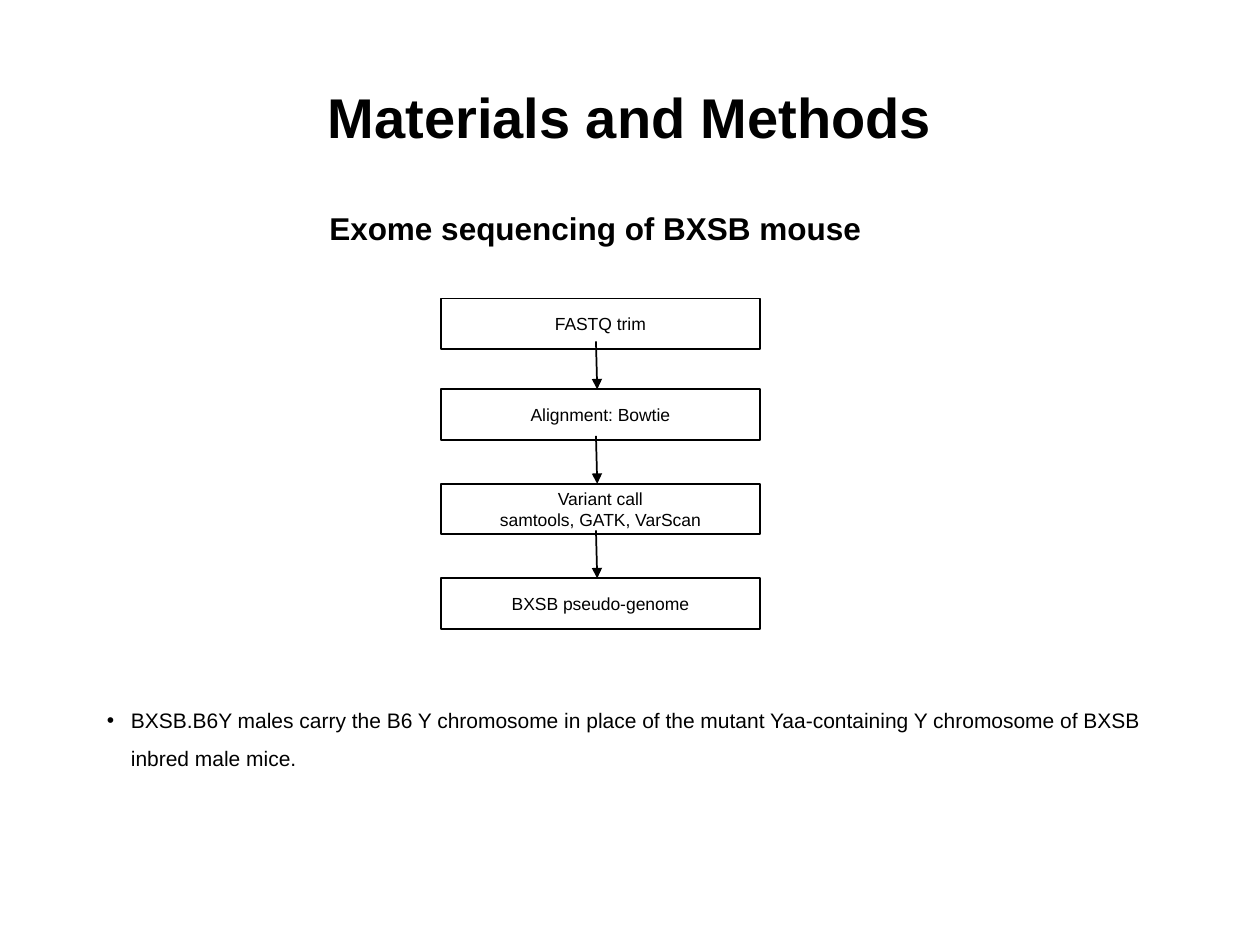
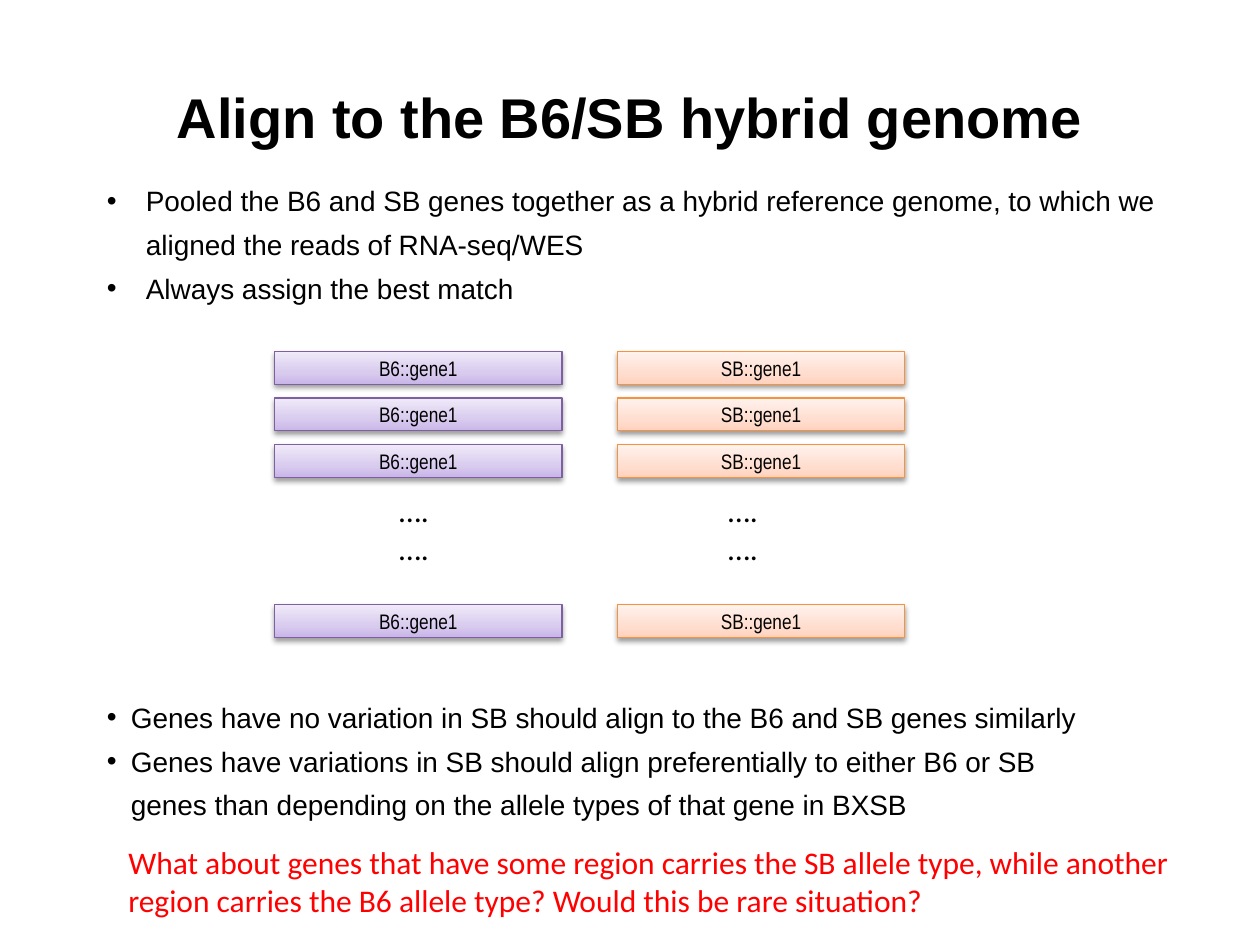
from lxml.etree import SubElement
from pptx import Presentation
from pptx.dml.color import RGBColor
from pptx.enum.shapes import MSO_CONNECTOR, MSO_SHAPE
from pptx.enum.text import MSO_ANCHOR, MSO_AUTO_SIZE, PP_ALIGN
from pptx.oxml.ns import qn
from pptx.util import Inches, Pt

BLACK = RGBColor(0x00, 0x00, 0x00)
WHITE = RGBColor(0xFF, 0xFF, 0xFF)
RED = RGBColor(0xFF, 0x00, 0x00)
PURPLE_LINE = RGBColor(0x7D, 0x60, 0xA0)
ORANGE_LINE = RGBColor(0xF6, 0x92, 0x40)
PURPLE_STOPS = [
    (0, RGBColor(0xC9, 0xB5, 0xE8)),
    (35, RGBColor(0xD8, 0xCB, 0xEE)),
    (100, RGBColor(0xF0, 0xEA, 0xF9)),
]
ORANGE_STOPS = [
    (0, RGBColor(0xFF, 0xD2, 0xBD)),
    (35, RGBColor(0xFF, 0xDE, 0xD0)),
    (100, RGBColor(0xFF, 0xF2, 0xED)),
]

FLOW_LEFT, FLOW_WIDTH, FLOW_HEIGHT = 3.5, 2.53, 0.4
FLOW_STEPS = [
    (2.37, "FASTQ trim"),
    (3.09, "Alignment: Bowtie"),
    (3.84, "Variant call\nsamtools, GATK, VarScan"),
    (4.59, "BXSB pseudo-genome"),
]
ARROW_LENGTH = 0.38

GENE_WIDTH, GENE_HEIGHT = 2.28, 0.26
GENE_TOPS = [2.79 + 0.37 * row for row in range(3)] + [4.8]
GENE_COLUMNS = [
    (2.18, 3.07, "B6::gene1", PURPLE_STOPS, PURPLE_LINE),
    (4.9, 5.68, "SB::gene1", ORANGE_STOPS, ORANGE_LINE),
]


def write_text(frame, text, size, font="Arial", color=BLACK, bold=False,
               align=PP_ALIGN.LEFT, spacing=None):
    frame.text = text
    for para in frame.paragraphs:
        para.alignment = align
        if spacing:
            para.line_spacing = spacing
        for span in para.runs:
            span.font.size = Pt(size)
            span.font.name = font
            span.font.bold = bold
            span.font.color.rgb = color


def add_text(page, left, top, width, height, text, size, wrap=True, **style):
    box = page.shapes.add_textbox(
        Inches(left), Inches(top), Inches(width), Inches(height))
    frame = box.text_frame
    frame.word_wrap = wrap
    frame.auto_size = MSO_AUTO_SIZE.SHAPE_TO_FIT_TEXT
    write_text(frame, text, size, **style)
    return box


def add_title(page, text):
    box = add_text(page, 0.5, 0.3, 9, 1.25, text, 32,
                   bold=True, align=PP_ALIGN.CENTER)
    box.text_frame.auto_size = MSO_AUTO_SIZE.NONE
    box.text_frame.vertical_anchor = MSO_ANCHOR.MIDDLE


def add_bullets(page, left, top, width, height, text, size, spacing, indent=0.19):
    box = add_text(page, left, top, width, height, text, size, spacing=spacing)
    for para in box.text_frame.paragraphs:
        properties = para._p.get_or_add_pPr()
        properties.set("marL", str(Inches(indent)))
        properties.set("indent", str(-Inches(indent)))
        SubElement(properties, qn("a:buFont"), typeface="Arial")
        SubElement(properties, qn("a:buChar"), char="•")


def add_label_box(page, left, top, width, height, text, size, font,
                  line_color, line_width):
    box = page.shapes.add_shape(
        MSO_SHAPE.RECTANGLE,
        Inches(left), Inches(top), Inches(width), Inches(height))
    box.shadow.inherit = False
    box.line.color.rgb = line_color
    box.line.width = Pt(line_width)
    box.text_frame.word_wrap = True
    box.text_frame.vertical_anchor = MSO_ANCHOR.MIDDLE
    write_text(box.text_frame, text, size, font=font, align=PP_ALIGN.CENTER)
    return box


def add_flow_step(page, top, text):
    box = add_label_box(page, FLOW_LEFT, top, FLOW_WIDTH, FLOW_HEIGHT,
                        text, 10, "Arial", BLACK, 1)
    box.fill.solid()
    box.fill.fore_color.rgb = WHITE


def add_arrow_down(page, bottom):
    arrow = page.shapes.add_connector(
        MSO_CONNECTOR.STRAIGHT, Inches(4.73), Inches(bottom - ARROW_LENGTH),
        Inches(4.74), Inches(bottom))
    arrow.line.color.rgb = BLACK
    arrow.line.width = Pt(1)
    SubElement(arrow.line._get_or_add_ln(), qn("a:tailEnd"), type="triangle")
    SubElement(arrow._element.spPr, qn("a:effectLst"))


def set_gradient(shape, stops):
    properties = shape._element.spPr
    gradient = SubElement(properties, qn("a:gradFill"), rotWithShape="1")
    stop_list = SubElement(gradient, qn("a:gsLst"))
    for position, color in stops:
        stop = SubElement(stop_list, qn("a:gs"), pos=str(position * 1000))
        SubElement(stop, qn("a:srgbClr"), val=str(color))
    SubElement(gradient, qn("a:lin"), ang=str(270 * 60000), scaled="1")
    properties.find(qn("a:prstGeom")).addnext(gradient)


def set_soft_shadow(shape):
    effects = shape._element.spPr.find(qn("a:effectLst"))
    shadow = SubElement(
        effects, qn("a:outerShdw"), blurRad=str(Pt(3.1)), dist=str(Pt(1.6)),
        dir=str(90 * 60000), rotWithShape="0")
    color = SubElement(shadow, qn("a:srgbClr"), val=str(BLACK))
    SubElement(color, qn("a:alpha"), val="38000")


def add_gene(page, left, top, text, stops, line_color):
    box = add_label_box(page, left, top, GENE_WIDTH, GENE_HEIGHT,
                        text, 12, "Arial Narrow", line_color, 0.75)
    set_gradient(box, stops)
    set_soft_shadow(box)


def build_methods(page):
    add_title(page, "Materials and Methods")
    add_text(page, 2.49, 1.46, 4.47, 0.5, "Exome sequencing of BXSB mouse", 18,
             wrap=False, bold=True, align=PP_ALIGN.CENTER, spacing=1.5)
    for top, text in FLOW_STEPS:
        add_flow_step(page, top, text)
    for top, _ in FLOW_STEPS[1:]:
        add_arrow_down(page, top)
    add_bullets(page, 0.75, 5.47, 8.59, 0.67,
                "BXSB.B6Y males carry the B6 Y chromosome in place of the mutant "
                "Yaa-containing Y chromosome of BXSB inbred male mice.", 12, 1.5)


def build_alignment(page):
    add_title(page, "Align to the B6/SB hybrid genome")
    add_bullets(page, 0.75, 1.33, 8.87, 1.14,
                "Pooled the B6 and SB genes together as a hybrid reference genome, "
                "to which we aligned the reads of RNA-seq/WES\n"
                "Always assign the best match", 16, 1.3, indent=0.31)
    for left, dots_left, text, stops, line_color in GENE_COLUMNS:
        for top in GENE_TOPS:
            add_gene(page, left, top, text, stops, line_color)
        add_text(page, dots_left, 3.85, 0.48, 0.71, "….\n….", 18, font="Calibri")
    add_bullets(page, 0.75, 5.43, 8.21, 1.14,
                "Genes have no variation in SB should align to the B6 and SB genes "
                "similarly\n"
                "Genes have variations in SB should align preferentially to either "
                "B6 or SB genes than depending on the allele types of that gene in "
                "BXSB", 16, 1.3)
    add_text(page, 0.92, 6.64, 8.54, 0.71,
             "What about genes that have some region carries the SB allele type, "
             "while another region carries the B6 allele type? Would this be rare "
             "situation?", 18, font="Calibri", color=RED)


def main():
    deck = Presentation()
    deck.slide_width = Inches(10)
    deck.slide_height = Inches(7.5)
    for build in (build_methods, build_alignment):
        build(deck.slides.add_slide(deck.slide_layouts[6]))
    deck.save("out.pptx")


if __name__ == "__main__":
    main()
